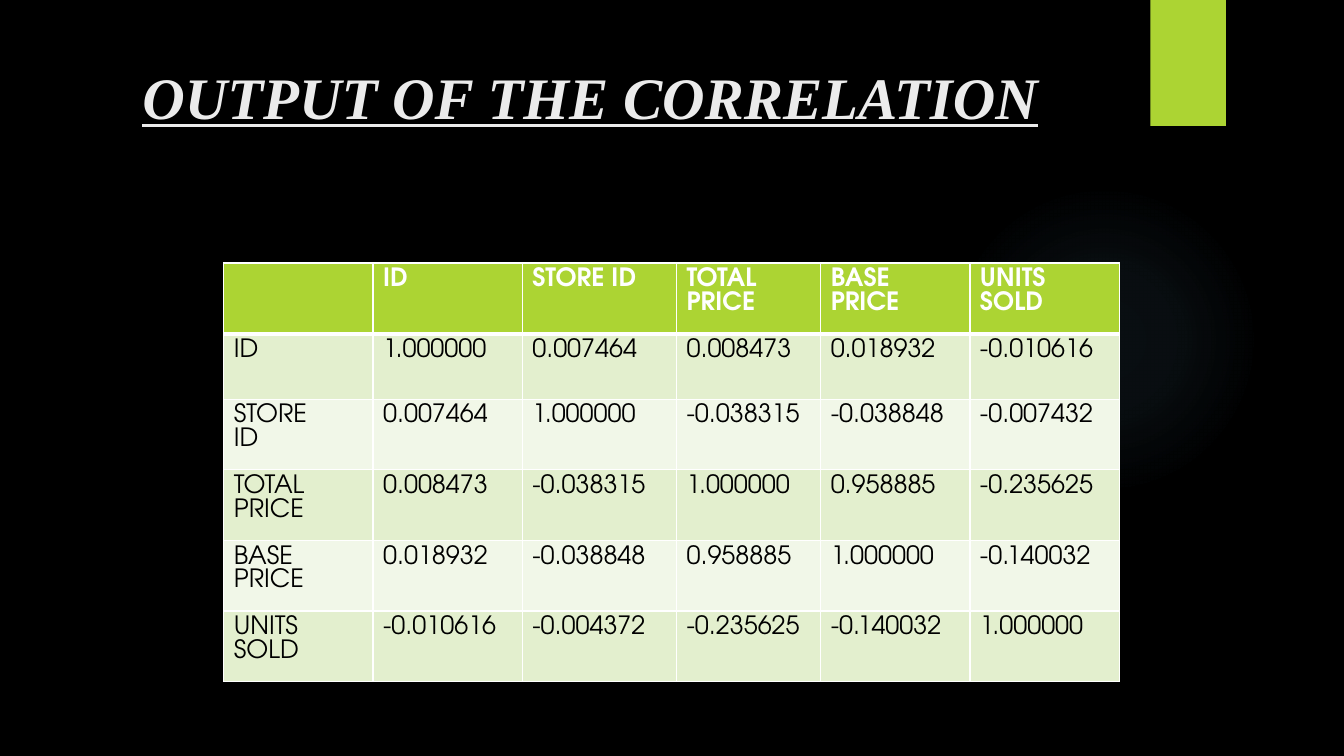
"""Build the slide showing the correlation output table."""
import lxml.etree
import pptx
import pptx.dml.color
import pptx.enum.shapes
import pptx.enum.text
import pptx.oxml
import pptx.oxml.ns
import pptx.util

Inches = pptx.util.Inches
Pt = pptx.util.Pt
RGBColor = pptx.dml.color.RGBColor
SHAPES = pptx.enum.shapes.MSO_SHAPE

BLACK = RGBColor(0x00, 0x00, 0x00)
WHITE = RGBColor(0xFF, 0xFF, 0xFF)
TITLE_GREY = RGBColor(0xEB, 0xEB, 0xEB)
GREEN = RGBColor(0xAC, 0xD4, 0x33)
BANDS = (RGBColor(0xE3, 0xEF, 0xCE), RGBColor(0xF1, 0xF7, 0xE8))
GLOW_BLUE = RGBColor(0x7A, 0xC4, 0xF0)
GLOW_STOPS = ((0, 7), (36, 6), (69, 0))

COLUMN_WIDTHS = (1.48, 1.48, 1.53, 1.43, 1.48, 1.48)
ROW_HEIGHT = 0.65
CORRELATIONS = (
    ("", "ID", "STORE ID", "TOTAL\nPRICE", "BASE\nPRICE", "UNITS\nSOLD"),
    ("ID", "1.000000", "0.007464", "0.008473", "0.018932", "-0.010616"),
    ("STORE\nID", "0.007464", "1.000000", "-0.038315", "-0.038848", "-0.007432"),
    ("TOTAL\nPRICE", "0.008473", "-0.038315", "1.000000", "0.958885", "-0.235625"),
    ("BASE\nPRICE", "0.018932", "-0.038848", "0.958885", "1.000000", "-0.140032"),
    ("UNITS\nSOLD", "-0.010616", "-0.004372", "-0.235625", "-0.140032", "1.000000"),
)


class SlideBuilder:
    """Hold the style and the current slide, and add elements to it."""

    title_font = "Times New Roman"
    table_font = "TeX Gyre Adventor"
    namespace = pptx.oxml.ns.nsdecls("a")

    def __init__(self, presentation):
        self.slide = presentation.slides.add_slide(presentation.slide_layouts[6])
        self.slide.background.fill.solid()
        self.slide.background.fill.fore_color.rgb = BLACK

    def shape(self, kind, left, top, width, height, color):
        shape = self.slide.shapes.add_shape(
            kind, Inches(left), Inches(top), Inches(width), Inches(height))
        shape.shadow.inherit = False
        shape.fill.solid()
        shape.fill.fore_color.rgb = color
        shape.line.fill.background()
        return shape

    def glow(self, left, top, diameter):
        shape = self.shape(SHAPES.OVAL, left, top, diameter, diameter, GLOW_BLUE)
        stops = "".join(
            f'<a:gs pos="{position * 1000}"><a:srgbClr val="{GLOW_BLUE}">'
            f'<a:alpha val="{alpha * 1000}"/></a:srgbClr></a:gs>'
            for position, alpha in GLOW_STOPS)
        gradient = pptx.oxml.parse_xml(
            f'<a:gradFill {self.namespace}><a:gsLst>{stops}</a:gsLst>'
            '<a:path path="circle"><a:fillToRect l="50000" t="50000" '
            'r="50000" b="50000"/></a:path></a:gradFill>')
        properties = shape.element.spPr
        solid = properties.find(pptx.oxml.ns.qn("a:solidFill"))
        properties.replace(solid, gradient)

    def title(self, text, left, top, width, height):
        box = self.slide.shapes.add_textbox(
            Inches(left), Inches(top), Inches(width), Inches(height))
        box.text_frame.word_wrap = True
        paragraph = box.text_frame.paragraphs[0]
        paragraph.text = text
        paragraph.alignment = pptx.enum.text.PP_ALIGN.CENTER
        font = paragraph.font
        font.name, font.size = self.title_font, Pt(42)
        font.bold = font.italic = font.underline = True
        font.color.rgb = TITLE_GREY

    def borders(self, cell, top, bottom):
        properties = cell._tc.get_or_add_tcPr()
        sides = (("L", 1), ("R", 1), ("T", top), ("B", bottom))
        for index, (side, width) in enumerate(sides):
            properties.insert(index, pptx.oxml.parse_xml(
                f'<a:ln{side} {self.namespace} w="{Pt(width)}"><a:solidFill>'
                f'<a:srgbClr val="{WHITE}"/></a:solidFill></a:ln{side}>'))

    def table(self, rows, left, top, widths, row_height):
        table = self.slide.shapes.add_table(
            len(rows), len(widths), Inches(left), Inches(top),
            Inches(sum(widths)), Inches(row_height * len(rows))).table
        for column, width in zip(table.columns, widths):
            column.width = Inches(width)
        for row_index, values in enumerate(rows):
            table.rows[row_index].height = Inches(row_height)
            header = row_index == 0
            for column_index, value in enumerate(values):
                cell = table.cell(row_index, column_index)
                cell.text = value
                cell.fill.solid()
                cell.fill.fore_color.rgb = GREEN if header else BANDS[(row_index - 1) % 2]
                self.borders(cell, 3 if row_index == 1 else 1, 3 if header else 1)
                for paragraph in cell.text_frame.paragraphs:
                    font = paragraph.font
                    font.name, font.size, font.bold = self.table_font, Pt(18), header
                    font.color.rgb = WHITE if header else BLACK


def main():
    presentation = pptx.Presentation()
    presentation.slide_width = Inches(13.33)
    presentation.slide_height = Inches(7.5)
    builder = SlideBuilder(presentation)
    builder.glow(9.41, 1.83, 3.08)
    builder.shape(SHAPES.RECTANGLE, 11.41, 0, 0.75, 1.25, GREEN)
    builder.title("OUTPUT OF THE CORRELATION", 0.71, 0.55, 10.29, 1.48)
    builder.table(CORRELATIONS, 2.22, 2.61, COLUMN_WIDTHS, ROW_HEIGHT)
    presentation.save("out.pptx")


if __name__ == "__main__":
    main()
